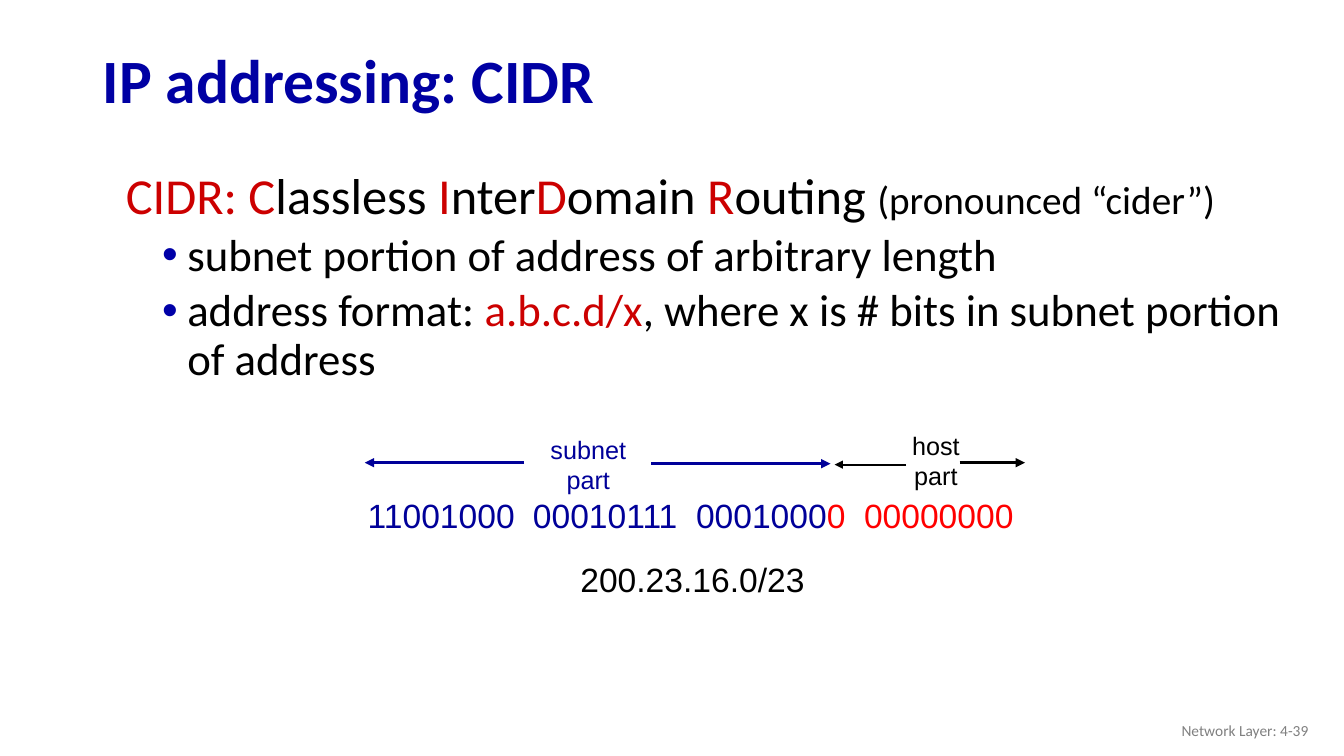
from dataclasses import dataclass

from lxml.etree import SubElement
from pptx import Presentation
from pptx.dml.color import RGBColor
from pptx.enum.shapes import MSO_CONNECTOR
from pptx.enum.text import MSO_ANCHOR, PP_ALIGN
from pptx.oxml.ns import qn
from pptx.util import Pt


@dataclass(frozen=True)
class Theme:
    heading_font: str = "Calibri"
    diagram_font: str = "Arial"
    title_blue: str = "0000A3"
    bullet_blue: str = "0000A8"
    subnet_blue: str = "000099"
    accent_red: str = "CC0000"
    host_red: str = "FF0000"
    black: str = "000000"
    grey: str = "808080"
    title_size: int = 44
    lead_size: int = 36
    bullet_size: int = 32
    aside_size: int = 28
    bits_size: int = 24
    label_size: int = 18
    footer_size: int = 11


class SlideBuilder:
    def __init__(self, slide, theme):
        self.slide = slide
        self.theme = theme

    def box(self, left, top, width, height, wrap=True, anchor=MSO_ANCHOR.TOP):
        """Add an empty text box and return its text frame."""
        area = self.slide.shapes.add_textbox(Pt(left), Pt(top), Pt(width), Pt(height))
        frame = area.text_frame
        frame.word_wrap = wrap
        frame.vertical_anchor = anchor
        return frame

    def style(self, paragraph, font, size, color=None, bold=None):
        paragraph.font.name = font
        paragraph.font.size = Pt(size)
        paragraph.font.bold = bold
        if color:
            paragraph.font.color.rgb = RGBColor.from_string(color)

    def runs(self, paragraph, pieces):
        """Add (text, colour) or (text, colour, size) pieces."""
        for text, color, *size in pieces:
            run = paragraph.add_run()
            run.text = text
            run.font.color.rgb = RGBColor.from_string(color)
            if size:
                run.font.size = Pt(size[0])

    def indent(self, paragraph, margin, hanging):
        properties = paragraph._p.get_or_add_pPr()
        properties.set("marL", str(Pt(margin)))
        properties.set("indent", str(-Pt(hanging)))
        return properties

    def bullet(self, frame, pieces):
        paragraph = frame.add_paragraph()
        paragraph.level = 1
        properties = self.indent(paragraph, 54.72, 18)
        color = SubElement(properties, qn("a:buClr"))
        SubElement(color, qn("a:srgbClr"), val=self.theme.bullet_blue)
        SubElement(properties, qn("a:buFont"), typeface=self.theme.diagram_font)
        SubElement(properties, qn("a:buChar"), char="•")
        paragraph.line_spacing = 0.9
        paragraph.space_before = Pt(5)
        self.style(paragraph, self.theme.heading_font, self.theme.bullet_size)
        self.runs(paragraph, pieces)

    def tabs(self, paragraph, stops):
        tab_list = SubElement(paragraph._p.get_or_add_pPr(), qn("a:tabLst"))
        for stop in stops:
            SubElement(tab_list, qn("a:tab"), pos=str(Pt(stop)), algn="l")

    def label(self, left, top, width, lines, color):
        """Add a centred label with one paragraph per line."""
        frame = self.box(left, top, width, 50.4, wrap=False)
        for index, line in enumerate(lines):
            paragraph = frame.add_paragraph() if index else frame.paragraphs[0]
            paragraph.text = line
            paragraph.alignment = PP_ALIGN.CENTER
            self.style(paragraph, self.theme.diagram_font, self.theme.label_size, color)

    def arrow(self, start, end, y, color, weight=2.25):
        line = self.slide.shapes.add_connector(
            MSO_CONNECTOR.STRAIGHT, Pt(start), Pt(y), Pt(end), Pt(y))
        line.line.color.rgb = RGBColor.from_string(color)
        line.line.width = Pt(weight)
        SubElement(line.line._get_or_add_ln(), qn("a:tailEnd"), type="triangle")
        SubElement(line._element.spPr, qn("a:effectLst"))


def main():
    deck = Presentation()
    deck.slide_width, deck.slide_height = Pt(960), Pt(540)
    theme = Theme()
    page = SlideBuilder(deck.slides.add_slide(deck.slide_layouts[6]), theme)
    red, black, blue = theme.accent_red, theme.black, theme.subnet_blue

    # Title
    title = page.box(66.24, 24.5, 828, 70.5, anchor=MSO_ANCHOR.MIDDLE).paragraphs[0]
    title.text = "IP addressing: CIDR"
    title.line_spacing = 0.9
    page.style(title, theme.heading_font, theme.title_size, theme.title_blue, True)

    # Definition and its bullets
    definition = page.box(72, 118.8, 873.4, 163.4)
    lead = definition.paragraphs[0]
    page.indent(lead, 28.08, 17.28)
    lead.line_spacing = 0.9
    page.style(lead, theme.heading_font, theme.lead_size)
    page.runs(lead, [
        ("CIDR: C", red), ("lassless ", black), ("I", red), ("nter", black),
        ("D", red), ("omain ", black), ("R", red), ("outing ", black),
        ("(pronounced “cider”)", black, theme.aside_size),
    ])
    page.bullet(definition, [("subnet portion of address of arbitrary length", black)])
    page.bullet(definition, [
        ("address format: ", black), ("a.b.c.d/x", red),
        (", where x is # bits in subnet portion of address", black),
    ])

    # Address in binary, one tab stop per octet
    bits = page.box(255.6, 350, 482.4, 36).paragraphs[0]
    page.tabs(bits, (118, 234.5, 354.5))
    page.style(bits, theme.diagram_font, theme.bits_size)
    page.runs(bits, [("11001000\t00010111\t0001000", blue),
                     ("0\t00000000", theme.host_red)])

    # Subnet and host spans
    page.label(386, 306.7, 68.4, ("subnet", "part"), blue)
    page.label(644.4, 303.8, 48.2, ("host", "part"), black)
    page.arrow(374.4, 260.6, 330.5, blue)
    page.arrow(465.1, 593.3, 331.2, blue)
    page.arrow(647.3, 596.2, 331.9, black, 1.5)
    page.arrow(685.4, 732.2, 330.5, black)

    # Address in dotted notation
    address = page.box(407.5, 396, 175, 36, wrap=False).paragraphs[0]
    address.text = "200.23.16.0/23"
    page.style(address, theme.diagram_font, theme.bits_size, black)

    # Footer
    footer = page.box(725.8, 507.6, 216, 28.8, anchor=MSO_ANCHOR.MIDDLE).paragraphs[0]
    footer.text = "Network Layer: 4-39"
    footer.alignment = PP_ALIGN.RIGHT
    page.style(footer, theme.heading_font, theme.footer_size, theme.grey)

    deck.save("out.pptx")


if __name__ == "__main__":
    main()
